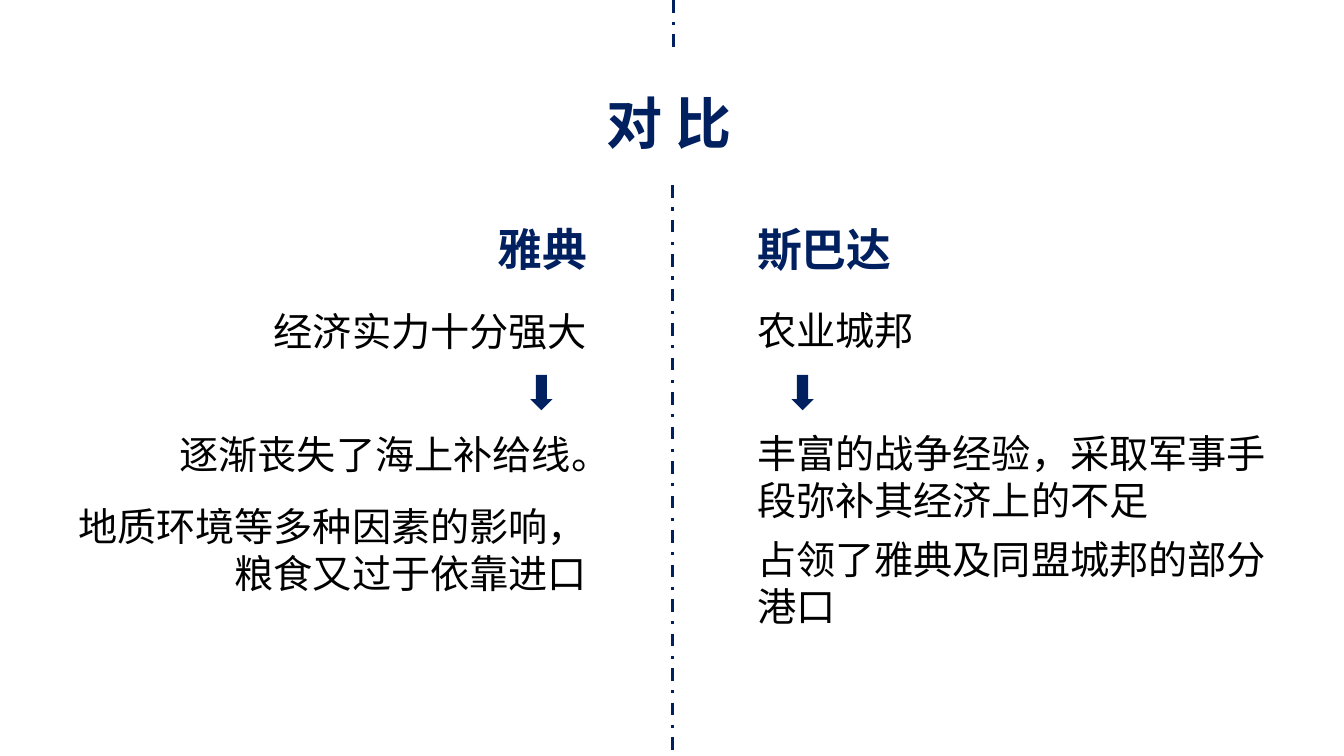
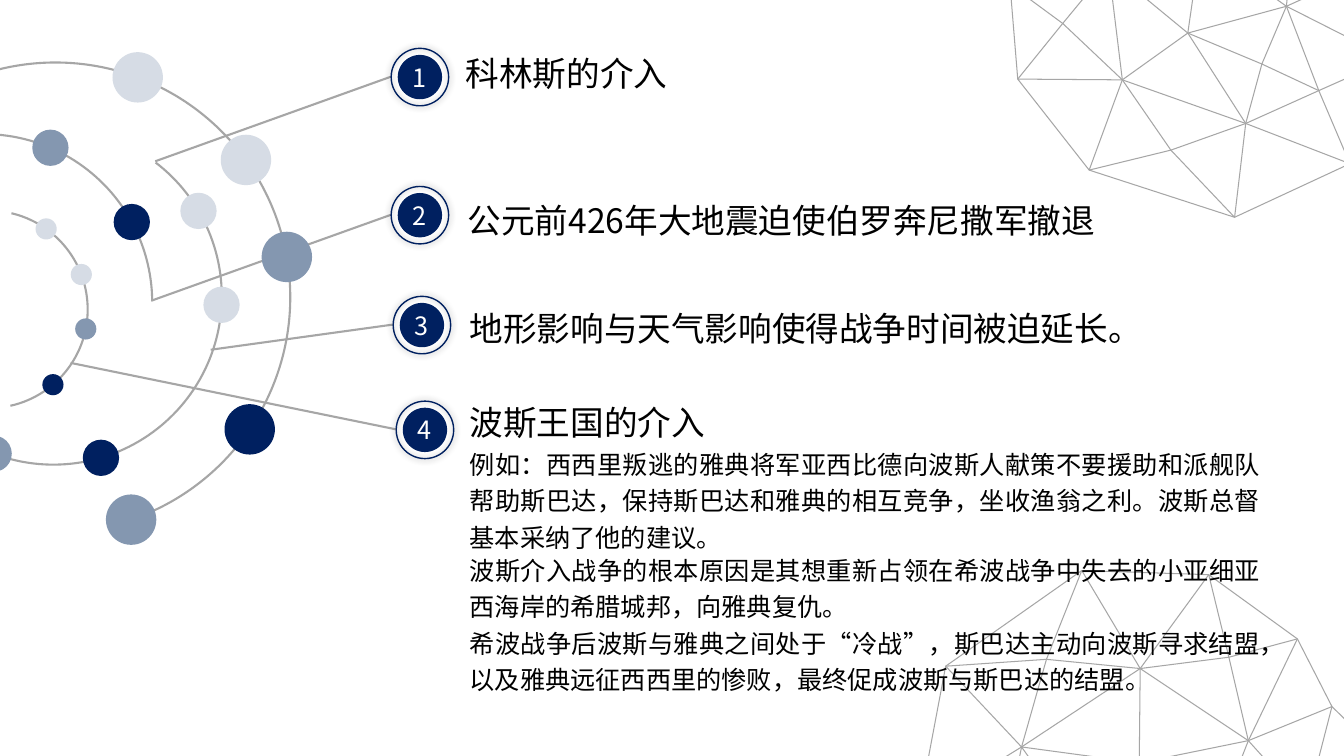
from math import cos, radians, sin
from typing import NamedTuple

from lxml import etree
from pptx import Presentation
from pptx.dml.color import RGBColor
from pptx.enum.dml import MSO_LINE
from pptx.enum.shapes import MSO_CONNECTOR, MSO_SHAPE
from pptx.enum.text import MSO_ANCHOR, PP_ALIGN
from pptx.oxml.ns import qn
from pptx.util import Inches, Pt

NAVY = RGBColor(0x00, 0x20, 0x60)
SLATE = RGBColor(0x84, 0x97, 0xB0)
PALE = RGBColor(0xD6, 0xDC, 0xE5)
GREY = RGBColor(0xA6, 0xA6, 0xA6)
BLACK = RGBColor(0x00, 0x00, 0x00)
WHITE = RGBColor(0xFF, 0xFF, 0xFF)
FONT = "Noto Sans CJK SC"

LEFT, RIGHT, CENTER, JUSTIFY = PP_ALIGN.LEFT, PP_ALIGN.RIGHT, PP_ALIGN.CENTER, PP_ALIGN.JUSTIFY
OVAL, ARC, DOWN_ARROW = MSO_SHAPE.OVAL, MSO_SHAPE.ARC, MSO_SHAPE.DOWN_ARROW
STRAIGHT = MSO_CONNECTOR.STRAIGHT
DASH_DOT = MSO_LINE.DASH_DOT
MIDDLE = MSO_ANCHOR.MIDDLE


class Box(NamedTuple):
    left: float
    top: float
    width: float
    height: float


class Line(NamedTuple):
    offset: float  # down from the top of the column
    height: float
    words: str
    shift: float = 0  # to the right, for hanging punctuation


class Orbit(NamedTuple):
    x: float
    y: float
    radius: float
    rotation: float
    start: float
    end: float
    dot_size: float
    dots: list  # (angle, colour)


class Factor(NamedTuple):
    badge: tuple
    leader_end: tuple
    text_box: Box
    words: str


ATHENS = [
    Line(0.85, 0.57, "经济实力十分强大"),
    Line(2.07, 0.57, "逐渐丧失了海上补给线。", shift=0.23),
    Line(2.78, 1.04, "地质环境等多种因素的影响，粮食又过于依靠进口"),
]
SPARTA = [
    Line(0.84, 0.57, "农业城邦"),
    Line(2.06, 1.04, "丰富的战争经验，采取军事手段弥补其经济上的不足"),
    Line(3.11, 1.04, "占领了雅典及同盟城邦的部分港口"),
]
FACTORS = [
    Factor((3.88, 0.48), (1.54, 1.6), Box(4.52, 0.4, 3.69, 0.55), "科林斯的介入"),
    Factor((3.88, 1.85), (1.51, 2.98), Box(4.54, 1.85, 7.72, 0.55),
           "公元前426年大地震迫使伯罗奔尼撒军撤退"),
    Factor((3.9, 2.94), (2.09, 3.47), Box(4.56, 2.93, 7.74, 0.55),
           "地形影响与天气影响使得战争时间被迫延长。"),
    Factor((3.93, 3.98), (0.7, 3.6), Box(4.56, 3.86, 5.84, 0.55), "波斯王国的介入"),
]
PERSIA_EXAMPLE = [
    "例如：西西里叛逃的雅典将军亚西比德向波斯人献策不要援助和派舰队帮助斯巴达，"
    "保持斯巴达和雅典的相互竞争，坐收渔翁之利。波斯总督基本采纳了他的建议。",
]
PERSIA_MOTIVES = [
    "波斯介入战争的根本原因是其想重新占领在希波战争中失去的小亚细亚西海岸的希腊城邦，向雅典复仇。",
    "希波战争后波斯与雅典之间处于“冷战”，斯巴达主动向波斯寻求结盟，"
    "以及雅典远征西西里的惨败，最终促成波斯与斯巴达的结盟。",
]
ORBITS = [
    Orbit(0.55, 2.95, 2.33, 341, 270, 94.78, 0.5,
          [(-69.5, PALE), (-35.8, PALE), (-9.9, SLATE), (34.2, NAVY), (71.2, SLATE)]),
    Orbit(0.53, 2.94, 1.67, 20.1, 287.3, 94.78, 0.36,
          [(-30.5, PALE), (2.9, PALE), (73.6, NAVY), (110.8, SLATE)]),
    Orbit(-0.16, 3, 1.67, 278.2, 287.3, 81.48, 0.36, [(-66.7, SLATE), (-28.5, NAVY)]),
    Orbit(-0.11, 3.07, 0.98, 355.9, 287.3, 81.48, 0.21,
          [(-54.6, PALE), (-20.7, PALE), (11.4, SLATE), (49.6, NAVY)]),
]

# One mesh of triangles serves both corners. Joints are percentages of its box:
# the rim runs from the right over the top to the lower left.
MESH_RIM = [(100, 56.6), (91.8, 40.7), (90.2, 26.6), (77.4, 9.4), (52.1, 0),
            (17, 7.3), (0, 30.5), (4.3, 55.1), (19.4, 69.8)]
MESH_INNER = {
    "north": (56.1, 21), "north_east": (74.9, 25.1), "north_west": (37.9, 13),
    "east": (72.2, 40.9), "centre": (48.4, 37.3), "west": (25.9, 26.5),
    "mid_west": (29.7, 39.7), "south_west": (15, 41), "south": (31.6, 53.5),
    "far_east": (78.8, 56.1), "far_south_east": (56.3, 55.6), "far_south": (39.5, 69.7),
}
# Each inner joint and what it meets: a number is a place on the rim, from 0.
MESH_LINKS = {
    "north": [3, 4, "north_east", "north_west", "east", "centre", "west"],
    "north_east": [2, 3],
    "north_west": [4, 5, "west"],
    "east": [1, 2, "north_east", "centre", "far_east", "far_south_east"],
    "far_east": [1],
    "centre": ["west", "mid_west", "south", "far_south_east"],
    "west": [5, 6, "mid_west", "south_west"],
    "south_west": [6, 7, "mid_west", "south"],
    "south": [7, 8, "mid_west", "far_south", "far_south_east"],
}
CORNER_MESHES = [(Box(9.33, 5.51, 4.57, 5.32), 338.5), (Box(9.9, -2.43, 4.22, 4.47), 210.4)]


def write(frame, paragraphs, size=28, color=BLACK, bold=False, align=LEFT, spacing=None):
    for i, words in enumerate(paragraphs):
        paragraph = frame.paragraphs[0] if i == 0 else frame.add_paragraph()
        paragraph.alignment = align
        if spacing:
            paragraph.line_spacing = spacing
        run = paragraph.add_run()
        run.text = words
        font = run.font
        font.name, font.size, font.bold = FONT, Pt(size), bold
        font.color.rgb = color
        east_asian = etree.SubElement(run._r.get_or_add_rPr(), qn("a:ea"))
        east_asian.set("typeface", FONT)


def add_text(slide, box, *paragraphs, **text_format):
    text_box = slide.shapes.add_textbox(*map(Inches, box))
    text_box.text_frame.word_wrap = True
    write(text_box.text_frame, paragraphs, **text_format)


def paint(figure, fill=None, line=None, weight=1):
    figure.shadow.inherit = False
    if fill is None:
        figure.fill.background()
    else:
        figure.fill.solid()
        figure.fill.fore_color.rgb = fill
    if line is None:
        figure.line.fill.background()
    else:
        figure.line.color.rgb = line
        figure.line.width = Pt(weight)


def add_figure(slide, preset, box, **colors):
    figure = slide.shapes.add_shape(preset, *map(Inches, box))
    paint(figure, **colors)
    return figure


def add_round(slide, preset, x, y, radius, **colors):
    """Place a round preset by its centre."""
    return add_figure(slide, preset, Box(x - radius, y - radius, 2 * radius, 2 * radius), **colors)


def add_line(slide, start, end, color, weight, dash=None):
    line = slide.shapes.add_connector(STRAIGHT, *map(Inches, (*start, *end)))
    line.line.color.rgb = color
    line.line.width = Pt(weight)
    if dash:
        line.line.dash_style = dash
    etree.SubElement(line._element.spPr, qn("a:effectLst"))


def add_glow(figure):
    """Give the figure a soft shadow on all sides."""
    effects = figure._element.spPr.find(qn("a:effectLst"))
    shadow = etree.SubElement(effects, qn("a:outerShdw"), blurRad=str(Pt(5)), dist="0", dir="0")
    color = etree.SubElement(shadow, qn("a:srgbClr"), val=str(BLACK))
    etree.SubElement(color, qn("a:alpha"), val="40000")


def add_city_column(slide, left, top, width, align, city, lines):
    add_text(slide, Box(left, top, width, 0.64), city,
             size=32, color=NAVY, bold=True, align=align)
    for line in lines:
        add_text(slide, Box(left + line.shift, top + line.offset, width, line.height),
                 line.words, align=align)
    inset, arrow_width = 0.44, 0.22
    arrow_left = left + (width - inset - arrow_width if align == RIGHT else inset)
    add_figure(slide, DOWN_ARROW, Box(arrow_left, top + 1.57, arrow_width, 0.35), fill=NAVY)


def add_badge(slide, left, top, number):
    ring_radius, disc_radius = 0.285, 0.22
    x, y = left + ring_radius, top + ring_radius
    add_glow(add_round(slide, OVAL, x, y, ring_radius, line=NAVY))
    frame = add_round(slide, OVAL, x, y, disc_radius, fill=NAVY).text_frame
    frame.margin_left = frame.margin_right = frame.margin_top = frame.margin_bottom = 0
    frame.word_wrap = False
    frame.vertical_anchor = MIDDLE
    write(frame, [str(number)], size=18, color=WHITE, align=CENTER)


def add_orbit(slide, orbit):
    arc = add_round(slide, ARC, orbit.x, orbit.y, orbit.radius, line=GREY, weight=1.5)
    arc.rotation = orbit.rotation
    # A preset angle is stored in 60000ths of a degree, an adjustment in 100000ths.
    arc.adjustments[0], arc.adjustments[1] = orbit.start * 0.6, orbit.end * 0.6
    for angle, color in orbit.dots:
        dot_x = orbit.x + orbit.radius * cos(radians(angle))
        dot_y = orbit.y + orbit.radius * sin(radians(angle))
        add_round(slide, OVAL, dot_x, dot_y, orbit.dot_size / 2, fill=color)


def place_joint(joint, box, rotation):
    """Scale a percentage pair to the box, then turn it about the box centre."""
    across = (joint[0] / 100 - 0.5) * box.width
    down = (joint[1] / 100 - 0.5) * box.height
    turn_cos, turn_sin = cos(radians(rotation)), sin(radians(rotation))
    x = box.left + box.width / 2 + across * turn_cos - down * turn_sin
    y = box.top + box.height / 2 + across * turn_sin + down * turn_cos
    return Inches(x), Inches(y)


def add_mesh(slide, box, rotation):
    joints = {**dict(enumerate(MESH_RIM)), **MESH_INNER}
    points = {name: place_joint(joint, box, rotation) for name, joint in joints.items()}
    rim_points = [points[i] for i in range(len(MESH_RIM))]
    builder = slide.shapes.build_freeform(*rim_points[0])
    builder.add_line_segments(rim_points[1:], close=False)
    for hub, neighbours in MESH_LINKS.items():
        for neighbour in neighbours:
            builder.move_to(*points[hub])
            builder.add_line_segments([points[neighbour]], close=False)
    paint(builder.convert_to_shape(), line=GREY, weight=0.75)


def build_comparison(slide):
    add_text(slide, Box(5.92, 0.83, 1.49, 0.77), "对 比", size=40, color=NAVY, bold=True)
    add_city_column(slide, 0.64, 2.15, 5.28, RIGHT, "雅典", ATHENS)
    add_city_column(slide, 7.41, 2.15, 5.28, LEFT, "斯巴达", SPARTA)
    add_line(slide, (6.67, 1.84), (6.67, 7.5), NAVY, 2.25, DASH_DOT)
    add_line(slide, (6.68, 0), (6.68, 0.49), NAVY, 2.25, DASH_DOT)


def build_factors(slide):
    for factor in FACTORS:
        left, top = factor.badge
        add_line(slide, (left, top + 0.28), factor.leader_end, GREY, 1.5)
    for orbit in ORBITS:
        add_orbit(slide, orbit)
    for box, rotation in CORNER_MESHES:
        add_mesh(slide, box, rotation)
    body = {"align": JUSTIFY, "spacing": 1.2}
    for number, factor in enumerate(FACTORS, 1):
        add_badge(slide, *factor.badge, number)
        add_text(slide, factor.text_box, factor.words, size=24, **body)
    add_text(slide, Box(4.56, 4.35, 8.04, 1.17), *PERSIA_EXAMPLE, size=18, **body)
    add_text(slide, Box(4.56, 5.4, 8.04, 1.53), *PERSIA_MOTIVES, size=18, **body)


def main():
    deck = Presentation()
    deck.slide_width, deck.slide_height = Inches(13.33), Inches(7.5)
    blank = deck.slide_layouts[6]
    for build in (build_comparison, build_factors):
        build(deck.slides.add_slide(blank))
    deck.save("out.pptx")


if __name__ == "__main__":
    main()
